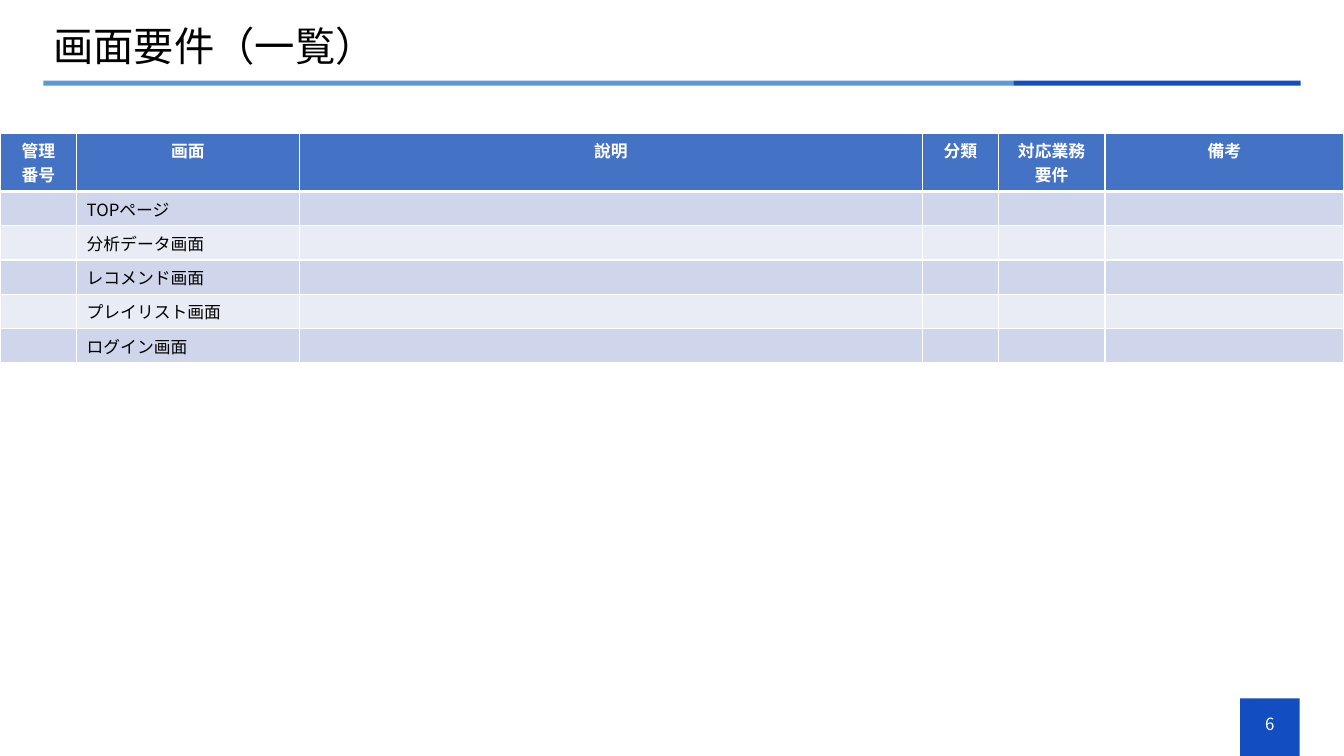
"""Build the screen requirements list slide on a grid of 1333 columns by 750 rows."""
from dataclasses import dataclass

from lxml import etree
from pptx import Presentation
from pptx.dml.color import RGBColor
from pptx.enum.shapes import MSO_SHAPE
from pptx.enum.text import MSO_ANCHOR, PP_ALIGN
from pptx.oxml.ns import qn
from pptx.slide import Slide
from pptx.table import _Cell
from pptx.text.text import _Paragraph
from pptx.util import Inches, Pt

RECTANGLE = MSO_SHAPE.RECTANGLE
MIDDLE = MSO_ANCHOR.MIDDLE
LEFT, CENTER = PP_ALIGN.LEFT, PP_ALIGN.CENTER

FONT = "Noto Sans CJK JP"
GRID = Inches(0.01)
GRID_COLUMNS, GRID_ROWS = 1333, 750
COLORS = {
    "black": "000000",
    "white": "FFFFFF",
    "deep_blue": "134EC1",
    "light_blue": "5B9BD5",
    "header": "4472C4",
    "odd_band": "CFD5EA",
    "even_band": "E9EBF5",
}
HEADERS = ("管理\n番号", "画面", "說明", "分類", "対応業務\n要件", "備考")
SCREENS = ("TOPページ", "分析データ画面", "レコメンド画面", "プレイリスト画面", "ログイン画面")
SCREEN_COLUMN = HEADERS.index("画面")
COLUMN_WIDTHS = (76, 221, 618, 75, 106, 237)
HEADER_HEIGHT, SCREEN_HEIGHT = 58, 34
TABLE_TOP = 132
TABLE_HEIGHT = HEADER_HEIGHT + SCREEN_HEIGHT * len(SCREENS)


@dataclass(frozen=True)
class Area:
    column: int
    row: int
    columns: int
    rows: int

    def lengths(self) -> tuple[int, ...]:
        return tuple(GRID * count for count in (self.column, self.row, self.columns, self.rows))


@dataclass(frozen=True)
class Style:
    size: float
    color: str
    bold: bool = False
    align: PP_ALIGN = LEFT


@dataclass(frozen=True)
class Block:
    area: Area
    color: str


@dataclass(frozen=True)
class Label:
    area: Area
    text: str
    style: Style
    spacing: float = 1.0


HEADER_STYLE = Style(12, "white", True, CENTER)
SCREEN_STYLE = Style(12, "black")
BLOCKS = (
    Block(Area(1230, 693, 59, 57), "deep_blue"),
    Block(Area(43, 80, 962, 5), "light_blue"),
    Block(Area(1005, 80, 285, 5), "deep_blue"),
)
LABELS = (
    Label(Area(43, 21, 1246, 55), "画面要件（一覧）", Style(28.8, "black"), 0.9),
    Label(Area(1230, 698, 59, 40), "6", Style(12, "white", align=CENTER)),
)


def rgb(color: str) -> RGBColor:
    return RGBColor.from_string(COLORS[color])


def write(para: _Paragraph, text: str, style: Style) -> None:
    para.alignment = style.align
    span = para.add_run()
    span.text = text
    span.font.name = FONT
    span.font.size = Pt(style.size)
    span.font.bold = style.bold
    span.font.color.rgb = rgb(style.color)
    etree.SubElement(span.font._element, qn("a:ea"), typeface=FONT)


def draw_block(page: Slide, block: Block) -> None:
    shape = page.shapes.add_shape(RECTANGLE, *block.area.lengths())
    shape.shadow.inherit = False
    shape.fill.solid()
    shape.fill.fore_color.rgb = rgb(block.color)
    shape.line.fill.background()


def draw_label(page: Slide, label: Label) -> None:
    box = page.shapes.add_textbox(*label.area.lengths())
    box.text_frame.word_wrap = True
    box.text_frame.vertical_anchor = MIDDLE
    para = box.text_frame.paragraphs[0]
    para.line_spacing = label.spacing
    write(para, label.text, label.style)


def border_cell(cell: _Cell, top: int, bottom: int) -> None:
    properties = cell._tc.get_or_add_tcPr()
    for side, points in (("L", 1), ("R", 1), ("T", top), ("B", bottom)):
        line = etree.SubElement(properties, qn(f"a:ln{side}"), w=str(Pt(points)))
        fill = etree.SubElement(line, qn("a:solidFill"))
        etree.SubElement(fill, qn("a:srgbClr"), val=COLORS["white"])


def fill_cell(cell: _Cell, text: str, style: Style, color: str) -> None:
    cell.fill.solid()
    cell.fill.fore_color.rgb = rgb(color)
    frame = cell.text_frame
    if not text:
        etree.SubElement(frame.paragraphs[0]._p, qn("a:endParaRPr"), sz=str(style.size * 100))
        return
    for index, line in enumerate(text.split("\n")):
        para = frame.add_paragraph() if index else frame.paragraphs[0]
        write(para, line, style)


def draw_table(page: Slide) -> None:
    area = Area(0, TABLE_TOP, GRID_COLUMNS, TABLE_HEIGHT)
    table = page.shapes.add_table(len(SCREENS) + 1, len(HEADERS), *area.lengths()).table
    for column, width in zip(table.columns, COLUMN_WIDTHS):
        column.width = GRID * width
    for index, row in enumerate(table.rows):
        row.height = GRID * (SCREEN_HEIGHT if index else HEADER_HEIGHT)
        band = "odd_band" if index % 2 else "even_band"
        for position, cell in enumerate(row.cells):
            border_cell(cell, 3 if index == 1 else 1, 1 if index else 3)
            if index == 0:
                fill_cell(cell, HEADERS[position], HEADER_STYLE, "header")
            else:
                text = SCREENS[index - 1] if position == SCREEN_COLUMN else ""
                fill_cell(cell, text, SCREEN_STYLE, band)


def main() -> None:
    deck = Presentation()
    deck.slide_width, deck.slide_height = GRID * GRID_COLUMNS, GRID * GRID_ROWS
    page = deck.slides.add_slide(deck.slide_layouts[6])
    for block in BLOCKS:
        draw_block(page, block)
    for label in LABELS:
        draw_label(page, label)
    draw_table(page)
    deck.save("out.pptx")


if __name__ == "__main__":
    main()
